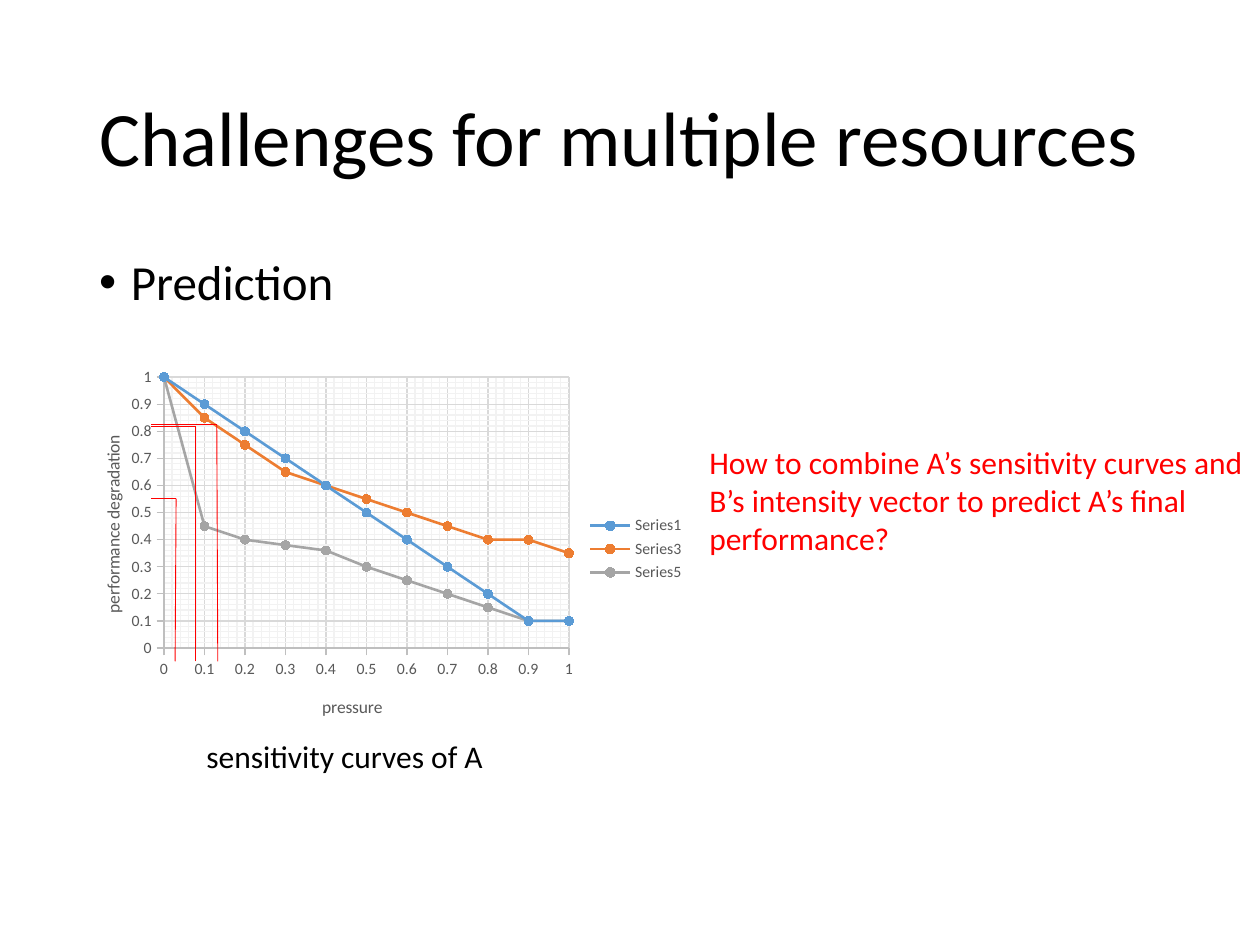
from pptx import Presentation
from pptx.chart.data import XyChartData
from pptx.dml.color import RGBColor
from pptx.enum.chart import XL_CHART_TYPE, XL_LEGEND_POSITION, XL_MARKER_STYLE, XL_TICK_MARK
from pptx.enum.shapes import MSO_CONNECTOR
from pptx.enum.text import MSO_ANCHOR
from pptx.oxml import parse_xml
from pptx.oxml.ns import nsdecls, qn
from pptx.util import Cm, Pt

SMOOTH = XL_CHART_TYPE.XY_SCATTER_SMOOTH
RIGHT = XL_LEGEND_POSITION.RIGHT
CIRCLE = XL_MARKER_STYLE.CIRCLE
OUT, NONE = XL_TICK_MARK.OUTSIDE, XL_TICK_MARK.NONE
STRAIGHT = MSO_CONNECTOR.STRAIGHT
TOP, MIDDLE = MSO_ANCHOR.TOP, MSO_ANCHOR.MIDDLE

BLACK = RGBColor(0x00, 0x00, 0x00)
RED = RGBColor(0xFF, 0x00, 0x00)
GREY = RGBColor(0x59, 0x59, 0x59)
AXIS = RGBColor(0xBF, 0xBF, 0xBF)
MAJOR = RGBColor(0xD9, 0xD9, 0xD9)
MINOR = RGBColor(0xF2, 0xF2, 0xF2)
BLUE = RGBColor(0x5B, 0x9B, 0xD5)
ORANGE = RGBColor(0xED, 0x7D, 0x31)
SILVER = RGBColor(0xA5, 0xA5, 0xA5)

CURVES = [
    ("Series1", BLUE, [1, 0.9, 0.8, 0.7, 0.6, 0.5, 0.4, 0.3, 0.2, 0.1, 0.1]),
    ("Series3", ORANGE, [1, 0.85, 0.75, 0.65, 0.6, 0.55, 0.5, 0.45, 0.4, 0.4, 0.35]),
    ("Series5", SILVER, [1, 0.45, 0.4, 0.38, 0.36, 0.3, 0.25, 0.2, 0.15, 0.1, 0.1]),
]
GUIDES = [(2.18, 2.2, 2.79), (3.04, 3.02, 1.3), (2.59, 2.59, 1.33)]
SCALE = {
    "minimum_scale": 0, "maximum_scale": 1, "major_unit": 0.1, "minor_unit": 0.02,
    "major_tick_mark": OUT, "minor_tick_mark": NONE,
    "has_major_gridlines": True, "has_minor_gridlines": True, "has_title": True,
}


def apply(item, values):
    for name, value in values.items():
        setattr(item, name, value)


def style(font, size, color):
    apply(font, {"name": "Calibri", "size": Pt(size)})
    font.color.rgb = color


def stroke(line, color, width):
    line.color.rgb = color
    line.width = Pt(width)


def add_text(slide, box, text, size, color=BLACK, anchor=TOP, wrap=True, spacing=1.0, bullet=False):
    frame = slide.shapes.add_textbox(*map(Cm, box)).text_frame
    apply(frame, {"word_wrap": wrap, "vertical_anchor": anchor})
    para = frame.paragraphs[0]
    if bullet:
        props = para._p.get_or_add_pPr()
        props.set("marL", str(Cm(0.64)))
        props.set("indent", str(-Cm(0.64)))
        props.append(parse_xml(f'<a:buFont {nsdecls("a")} typeface="Arial"/>'))
        props.append(parse_xml(f'<a:buChar {nsdecls("a")} char="•"/>'))
    para.line_spacing = spacing
    run = para.add_run()
    run.text = text
    style(run.font, size, color)


def set_layout(node, index, **parts):
    for old in node.findall(qn("c:layout")):
        node.remove(old)
    inner = '<c:layoutTarget val="inner"/>' if "w" in parts else ""
    modes = '<c:xMode val="edge"/><c:yMode val="edge"/>'
    sizes = "".join(f'<c:{key} val="{value}"/>' for key, value in parts.items())
    node.insert(index, parse_xml(
        f'<c:layout {nsdecls("c")}><c:manualLayout>{inner}{modes}{sizes}'
        "</c:manualLayout></c:layout>"))


def format_axis(axis, title):
    apply(axis, SCALE)
    apply(axis.tick_labels, {"number_format": "General", "number_format_is_linked": False})
    style(axis.tick_labels.font, 9, GREY)
    stroke(axis.format.line, AXIS, 0.75)
    stroke(axis.major_gridlines.format.line, MAJOR, 0.75)
    run = axis.axis_title.text_frame.paragraphs[0].add_run()
    run.text = title
    style(run.font, 10, GREY)
    run.font.bold = False


def add_curves(slide, box):
    data = XyChartData()
    for name, _, values in CURVES:
        series = data.add_series(name)
        for step, value in enumerate(values):
            series.add_data_point(step / 10, value)
    chart = slide.shapes.add_chart(SMOOTH, *map(Cm, box), data).chart
    style(chart.font, 10, BLACK)
    apply(chart, {"has_title": False, "has_legend": True})
    apply(chart.legend, {"position": RIGHT, "include_in_layout": False})
    style(chart.legend.font, 9, GREY)
    chart.plots[0].vary_by_categories = False
    for series, (_, color, _) in zip(chart.plots[0].series, CURVES):
        series.smooth = True
        stroke(series.format.line, color, 1.5)
        apply(series.marker, {"style": CIRCLE, "size": 5})
        series.marker.format.fill.solid()
        series.marker.format.fill.fore_color.rgb = color
        stroke(series.marker.format.line, color, 0.75)
    format_axis(chart.category_axis, "pressure")
    format_axis(chart.value_axis, "performance degradation")
    root = chart.element
    for grid in root.xpath(".//c:minorGridlines"):
        grid.append(parse_xml(
            f'<c:spPr {nsdecls("c", "a")}><a:ln w="{Pt(0.75)}"><a:solidFill>'
            f'<a:srgbClr val="{MINOR}"/></a:solidFill></a:ln></c:spPr>'))
    set_layout(root.xpath(".//c:plotArea")[0], 0, x=0.154, y=0.045, w=0.643, h=0.717)
    below, beside = root.xpath(".//c:valAx/c:title")
    set_layout(below, 1, x=0.4, y=0.88)
    set_layout(beside, 1, x=0.05, y=0.19)


def add_line(slide, start, end):
    line = slide.shapes.add_connector(STRAIGHT, *map(Cm, start + end))
    stroke(line.line, RED, 0.5)
    line._element.spPr.append(parse_xml(f'<a:effectLst {nsdecls("a")}/>'))


def add_guides(slide, box):
    left, top = box[:2]
    for foot, head, level in GUIDES:
        high = top + level
        add_line(slide, (left + 1.7, high), (left + head, high))
        add_line(slide, (left + foot, top + 6.07), (left + head, high))


def add_figure(slide, box):
    left, top, _, height = box
    add_curves(slide, box)
    add_text(slide, (left + 2.56, top + height - 0.15, 6.15, 1.02),
             "sensitivity curves of A", 18, wrap=False)
    add_guides(slide, box)


def main():
    deck = Presentation()
    apply(deck, {"slide_width": Cm(25.4), "slide_height": Cm(19.05)})
    slide = deck.slides.add_slide(deck.slide_layouts[6])
    add_text(slide, (1.75, 1.02, 21.9, 3.68), "Challenges for multiple resources", 44,
             anchor=MIDDLE, spacing=0.9)
    add_text(slide, (1.75, 5.08, 23.5, 12.09), "Prediction", 28, spacing=0.9, bullet=True)
    add_text(slide, (14.05, 8.81, 11.3, 2.57),
             "How to combine A’s sensitivity curves and B’s intensity vector "
             "to predict A’s final performance?", 18, RED)
    add_figure(slide, (1.35, 7.26, 12.7, 7.62))
    deck.save("out.pptx")


if __name__ == "__main__":
    main()
